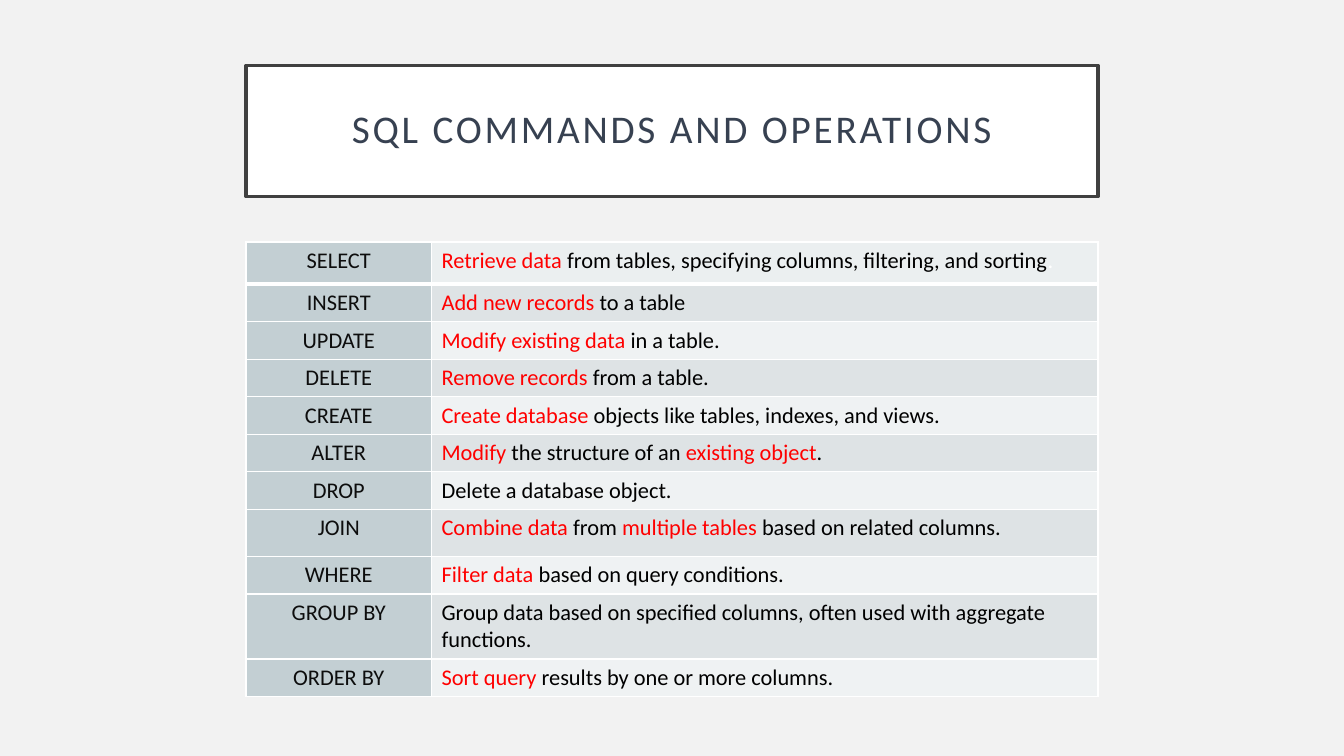
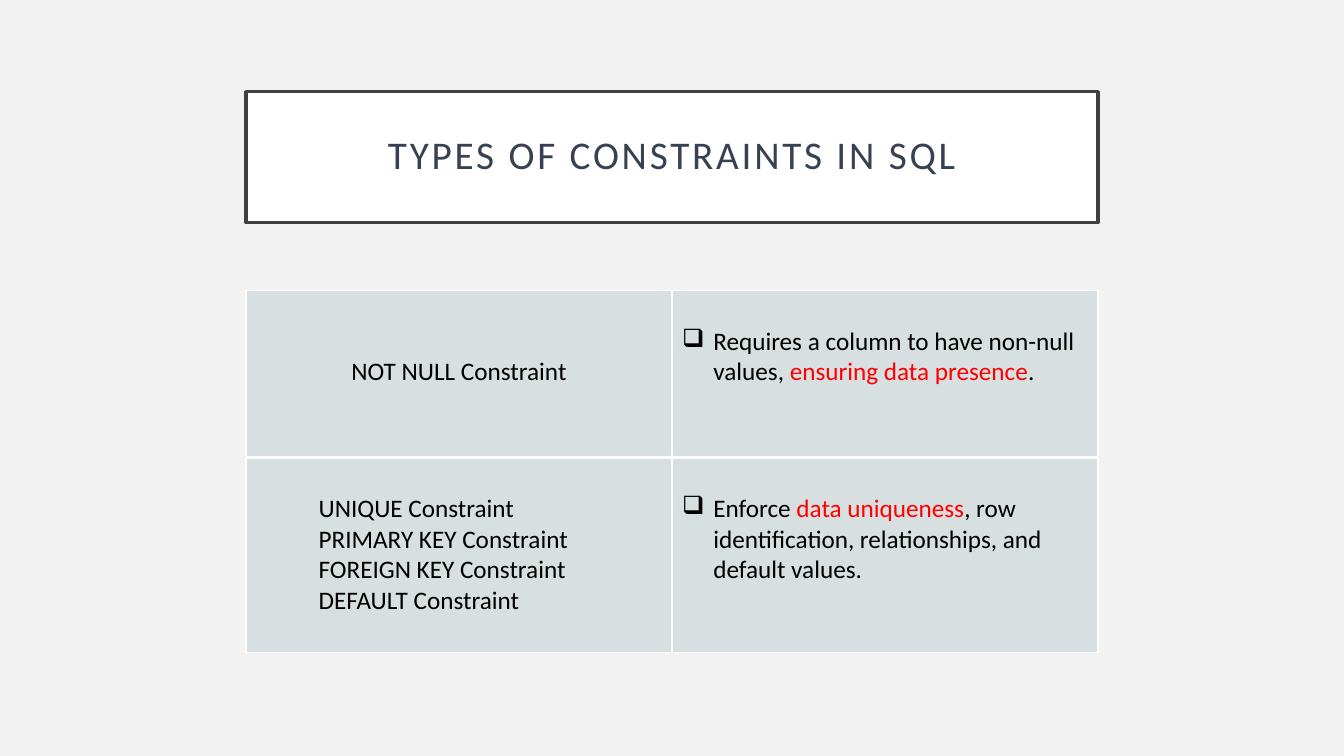
from lxml.etree import SubElement
from pptx import Presentation
from pptx.dml.color import RGBColor
from pptx.enum.text import MSO_ANCHOR, MSO_AUTO_SIZE, PP_ALIGN
from pptx.oxml import parse_xml
from pptx.oxml.ns import nsdecls, qn
from pptx.util import Inches, Pt

FONT = "Calibri"
BLACK, RED, WHITE = "000000", "FF0000", "FFFFFF"
LABEL, TITLE, FRAME, BACK = "0D0D0D", "374151", "404040", "F2F2F2"
LABEL_FILL, TOP_FILL, BANDS = "C3CFD3", "EBEFF0", ("EFF2F3", "DEE3E5")
CONSTRAINT_FILL = "D7DFE1"
LEFT, WIDTH, TITLE_H = 2.44, 8.45, 1.3
LABEL_W = 1.84
ROW_H, TALL_ROWS = 0.37, {"SELECT": 0.42, "JOIN": 0.47, "GROUP BY": 0.64}
LINE_H, PAD = 0.305, 0.05

COMMANDS = [
    ("SELECT", [("Retrieve data ", RED),
                ("from tables, specifying columns, filtering, and sorting", BLACK), (".", WHITE)]),
    ("INSERT", [("Add new records ", RED), ("to a table", BLACK)]),
    ("UPDATE", [("Modify existing data ", RED), ("in a table.", BLACK)]),
    ("DELETE", [("Remove records ", RED), ("from a table.", BLACK)]),
    ("CREATE", [("Create database ", RED), ("objects like tables, indexes, and views.", BLACK)]),
    ("ALTER", [("Modify", RED), (" the structure of an ", BLACK),
               ("existing object", RED), (".", BLACK)]),
    ("DROP", [("Delete a database object.", BLACK)]),
    ("JOIN", [("Combine data ", RED), ("from ", BLACK), ("multiple tables ", RED),
              ("based on related columns.", BLACK)]),
    ("WHERE", [("Filter data ", RED), ("based on query conditions.", BLACK)]),
    ("GROUP BY", [("Group data based on specified columns, often used with aggregate functions.",
                   BLACK)]),
    ("ORDER BY", [("Sort query ", RED), ("results by one or more columns.", BLACK)]),
]

CONSTRAINTS = [
    (["NOT NULL Constraint"],
     [("Requires a column to have non-null values, ", BLACK),
      ("ensuring data presence", RED), (".", BLACK)]),
    (["UNIQUE Constraint", "PRIMARY KEY Constraint", "FOREIGN KEY Constraint",
      "DEFAULT Constraint"],
     [("Enforce ", BLACK), ("data uniqueness", RED),
      (", row identification, relationships, and default values.", BLACK)]),
]


def rgb(value):
    return RGBColor.from_string(value)


def add_titled_slide(prs, title, top):
    slide = prs.slides.add_slide(prs.slide_layouts[5])
    sp = slide.shapes.title
    sp.left, sp.top, sp.width, sp.height = map(Inches, (LEFT, top, WIDTH, TITLE_H))
    sp.fill.solid()
    sp.fill.fore_color.rgb = rgb(WHITE)
    sp.line.color.rgb = rgb(FRAME)
    sp.line.width = Pt(2.5)
    tf = sp.text_frame
    tf.word_wrap, tf.auto_size = True, MSO_AUTO_SIZE.NONE
    tf.vertical_anchor = MSO_ANCHOR.MIDDLE
    tf.margin_left = tf.margin_right = tf.margin_top = tf.margin_bottom = Inches(0.2)
    p = tf.paragraphs[0]
    p.alignment, p.line_spacing = PP_ALIGN.CENTER, 0.9
    p.font.name, p.font.size, p.font.color.rgb = FONT, Pt(28), rgb(TITLE)
    r = p.add_run()
    r.text = title
    r.font._element.set("spc", "200")
    return slide


def add_grid(slide, top, col_widths, row_heights):
    frame = slide.shapes.add_table(len(row_heights), len(col_widths), Inches(LEFT), Inches(top),
                                   Inches(WIDTH), Inches(sum(row_heights)))
    table = frame.table
    table.first_row = table.horz_banding = False
    for col, width in zip(table.columns, col_widths):
        col.width = Inches(width)
    for row, height in zip(table.rows, row_heights):
        row.height = Inches(height)
    return table


def style_cell(table, row, col, fill):
    cell = table.cell(row, col)
    cell.fill.solid()
    cell.fill.fore_color.rgb = rgb(fill)
    widths = {"L": 1, "R": 1, "T": 3 if row == 1 else 1, "B": 3 if row == 0 else 1}
    tc_pr = cell._tc.get_or_add_tcPr()
    for i, (side, width) in enumerate(widths.items()):
        tc_pr.insert(i, parse_xml(
            f'<a:ln{side} {nsdecls("a")} w="{Pt(width)}"><a:solidFill>'
            f'<a:srgbClr val="{WHITE}"/></a:solidFill></a:ln{side}>'))
    return cell


def write_lines(cell, lines, size, align=PP_ALIGN.LEFT):
    tf = cell.text_frame
    for i, runs in enumerate(lines):
        p = tf.add_paragraph() if i else tf.paragraphs[0]
        p.alignment = align
        p.font.name, p.font.size = FONT, Pt(size)
        for text, color in runs:
            r = p.add_run()
            r.text = text
            r.font.color.rgb = rgb(color)


def add_bullet(p):
    p_pr = p._p.get_or_add_pPr()
    p_pr.set("marL", str(Inches(0.31)))
    p_pr.set("indent", str(-Inches(0.31)))
    bullet = SubElement(p_pr, qn("a:buChar"))
    bullet.set("char", "❑")
    p_pr.insert(0, bullet)


def build_commands(prs):
    slide = add_titled_slide(prs, "SQL COMMANDS AND OPERATIONS", 0.65)
    heights = [TALL_ROWS.get(name, ROW_H) for name, _ in COMMANDS]
    table = add_grid(slide, 2.4, (LABEL_W, WIDTH - LABEL_W), heights)
    for i, (name, runs) in enumerate(COMMANDS):
        write_lines(style_cell(table, i, 0, LABEL_FILL), [[(name, LABEL)]], 16, PP_ALIGN.CENTER)
        write_lines(style_cell(table, i, 1, BANDS[i % 2] if i else TOP_FILL), [runs], 16)


def build_constraints(prs):
    slide = add_titled_slide(prs, "TYPES OF CONSTRAINTS IN SQL", 0.91)
    table = add_grid(slide, 2.88, (WIDTH / 2, WIDTH / 2), (1.66, 1.93))
    for i, (names, runs) in enumerate(CONSTRAINTS):
        single = len(names) == 1
        kinds = style_cell(table, i, 0, CONSTRAINT_FILL)
        kinds.margin_top = Inches(PAD + LINE_H * (2 if single else 1))
        if not single:
            kinds.margin_left = Inches(0.72)
        write_lines(kinds, [[(name, BLACK)] for name in names], 18,
                    PP_ALIGN.CENTER if single else PP_ALIGN.LEFT)
        effect = style_cell(table, i, 1, CONSTRAINT_FILL)
        effect.margin_top = Inches(PAD + LINE_H)
        write_lines(effect, [runs], 18)
        add_bullet(effect.text_frame.paragraphs[0])


def main():
    """Build the SQL commands and constraints slides."""
    prs = Presentation()
    prs.slide_width, prs.slide_height = Inches(13.33), Inches(7.5)
    back = prs.slide_master.background.fill
    back.solid()
    back.fore_color.rgb = rgb(BACK)
    build_commands(prs)
    build_constraints(prs)
    prs.save("out.pptx")


if __name__ == "__main__":
    main()
